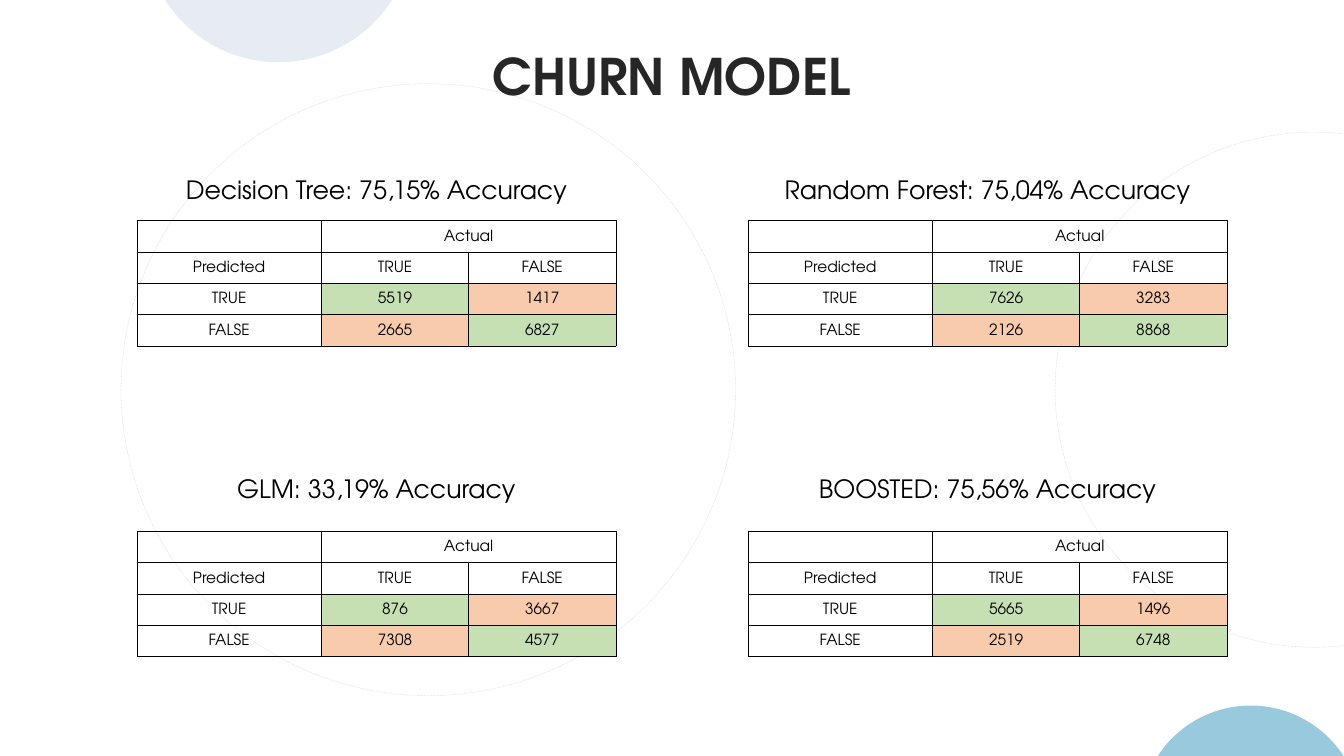
import dataclasses
import math

import lxml.etree
import pptx
import pptx.dml.color
import pptx.enum.dml
import pptx.enum.shapes
import pptx.enum.text
import pptx.oxml.ns
import pptx.util

Cm = pptx.util.Cm
Pt = pptx.util.Pt
qn = pptx.oxml.ns.qn


@dataclasses.dataclass(frozen=True)
class Theme:
    font: str = "TeX Gyre Adventor"
    ink: str = "000000"
    head: str = "262626"
    pale: str = "CEDBE6"
    blue: str = "3494BA"
    right: str = "C6E0B4"
    wrong: str = "F8CBAD"
    title: int = 36
    label: int = 18
    cell: int = 11
    line: float = 0.5


THEME = Theme()
WIDTH, HEIGHT = 33.87, 19.05
COLS = (4.65, 3.71, 3.71)
ROW = 0.79
LEFTS = (3.45, 18.85)
LABELS = (4.27, 11.79)
TABLES = (5.56, 13.39)
MODELS = (
    ("Decision Tree: 75,15% Accuracy", (5519, 1417), (2665, 6827)),
    ("Random Forest: 75,04% Accuracy", (7626, 3283), (2126, 8868)),
    ("GLM: 33,19% Accuracy", (876, 3667), (7308, 4577)),
    ("BOOSTED: 75,56% Accuracy", (5665, 1496), (2519, 6748)),
)


def paint(fill, color):
    fill.solid()
    fill.fore_color.rgb = pptx.dml.color.RGBColor.from_string(color)


def fade(shape, share):
    for color in shape.element.spPr.iter(qn("a:srgbClr")):
        lxml.etree.SubElement(color, qn("a:alpha"), val=str(share * 1000))


def write(frame, text, size, color, bold=False):
    para = frame.paragraphs[0]
    para.text = text
    para.alignment = pptx.enum.text.PP_ALIGN.CENTER
    for run in para.runs:
        run.font.name = THEME.font
        run.font.size = Pt(size)
        run.font.bold = bold
        paint(run.font.fill, color)
    if not text:
        para._p.get_or_add_endParaRPr().set("sz", str(size * 100))


def add_ring(slide, left, top, width, height):
    ring = slide.shapes.add_shape(
        pptx.enum.shapes.MSO_SHAPE.OVAL, Cm(left), Cm(top), Cm(width), Cm(height)
    )
    ring.shadow.inherit = False
    ring.fill.background()
    paint(ring.line.fill, THEME.ink)
    ring.line.width = Pt(THEME.line)
    ring.line.dash_style = pptx.enum.dml.MSO_LINE.ROUND_DOT
    fade(ring, 10)


def add_cap(slide, mid, edge, half, depth, way, color):
    radius = (half**2 + depth**2) / (2 * depth)
    sweep = math.asin(half / radius)
    steps = 48
    points = []
    for step in range(steps + 1):
        angle = sweep * (2 * step / steps - 1)
        rise = depth - radius * (1 - math.cos(angle))
        points.append((Cm(mid + radius * math.sin(angle)), Cm(edge + way * rise)))
    form = slide.shapes.build_freeform(*points[0])
    form.add_line_segments(points[1:], close=True)
    cap = form.convert_to_shape()
    cap.shadow.inherit = False
    paint(cap.fill, color)
    cap.line.fill.background()
    fade(cap, 50)


def set_title(slide, text):
    title = slide.shapes.title
    title.left, title.top = Cm(10.01), Cm(1.07)
    title.width, title.height = Cm(13.84), Cm(1.68)
    frame = title.text_frame
    frame.margin_top = frame.margin_bottom = 0
    frame.vertical_anchor = pptx.enum.text.MSO_ANCHOR.MIDDLE
    write(frame, text, THEME.title, THEME.head, True)
    title.element.getparent().append(title.element)


def add_label(slide, left, top, text):
    box = slide.shapes.add_textbox(Cm(left), Cm(top), Cm(sum(COLS)), Cm(1.03))
    box.text_frame.word_wrap = True
    box.text_frame.auto_size = pptx.enum.text.MSO_AUTO_SIZE.SHAPE_TO_FIT_TEXT
    write(box.text_frame, text, THEME.label, THEME.ink)


def add_edges(cell):
    props = cell._tc.get_or_add_tcPr()
    for side in ("lnL", "lnR", "lnT", "lnB"):
        edge = lxml.etree.SubElement(
            props, qn("a:" + side), w=str(Pt(THEME.line))
        )
        fill = lxml.etree.SubElement(edge, qn("a:solidFill"))
        lxml.etree.SubElement(fill, qn("a:srgbClr"), val=THEME.ink)


def style_cell(cell, text, color):
    cell.margin_left = cell.margin_right = cell.margin_top = Cm(0.03)
    cell.margin_bottom = 0
    cell.vertical_anchor = pptx.enum.text.MSO_ANCHOR.MIDDLE
    add_edges(cell)
    if color:
        paint(cell.fill, color)
    else:
        cell.fill.background()
    write(cell.text_frame, text, THEME.cell, THEME.ink)


def add_grid(slide, left, top, hits, misses):
    rows = (
        ("", "Actual", ""),
        ("Predicted", "TRUE", "FALSE"),
        ("TRUE", *hits),
        ("FALSE", *misses),
    )
    table = slide.shapes.add_table(
        len(rows), len(COLS), Cm(left), Cm(top), Cm(sum(COLS)), Cm(ROW * len(rows))
    ).table
    table.first_row = table.horz_banding = False
    for col, width in zip(table.columns, COLS):
        col.width = Cm(width)
    for r, row in enumerate(rows):
        table.rows[r].height = Cm(ROW)
        for c, value in enumerate(row):
            color = None
            if r > 1 and c > 0:
                color = THEME.right if r - c == 1 else THEME.wrong
            style_cell(table.cell(r, c), str(value), color)
    table.cell(0, 1).merge(table.cell(0, 2))


def main():
    deck = pptx.Presentation()
    deck.slide_width, deck.slide_height = Cm(WIDTH), Cm(HEIGHT)
    slide = deck.slides.add_slide(deck.slide_layouts.get_by_name("Title Only"))
    add_ring(slide, 26.59, 3.33, 13.06, 12.98)
    add_ring(slide, 3.05, 2.11, 15.49, 15.42)
    add_cap(slide, 31.52, HEIGHT, 2.34, 1.27, -1, THEME.blue)
    add_cap(slide, 7.02, 0, 2.86, 1.57, 1, THEME.pale)
    set_title(slide, "CHURN MODEL")
    for index, (label, hits, misses) in enumerate(MODELS):
        row, col = divmod(index, 2)
        add_label(slide, LEFTS[col], LABELS[row], label)
        add_grid(slide, LEFTS[col], TABLES[row], hits, misses)
    deck.save("out.pptx")


if __name__ == "__main__":
    main()
